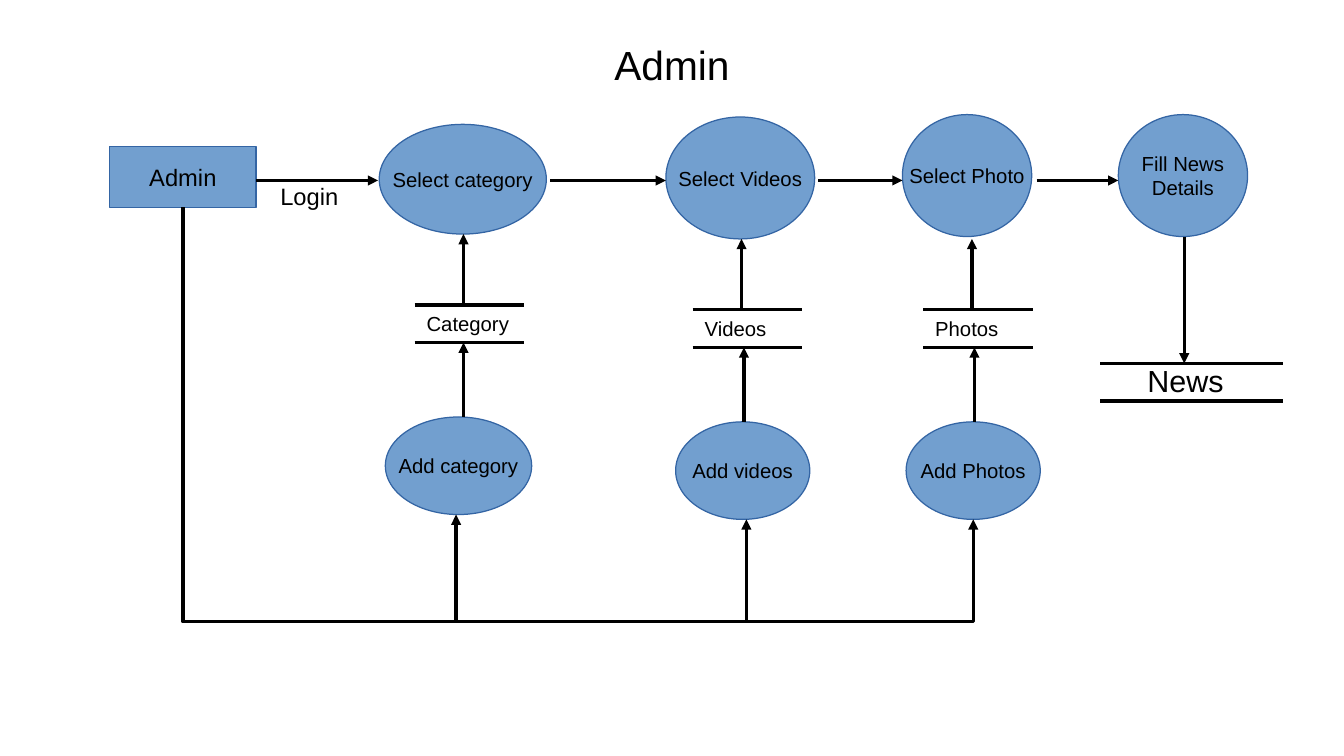
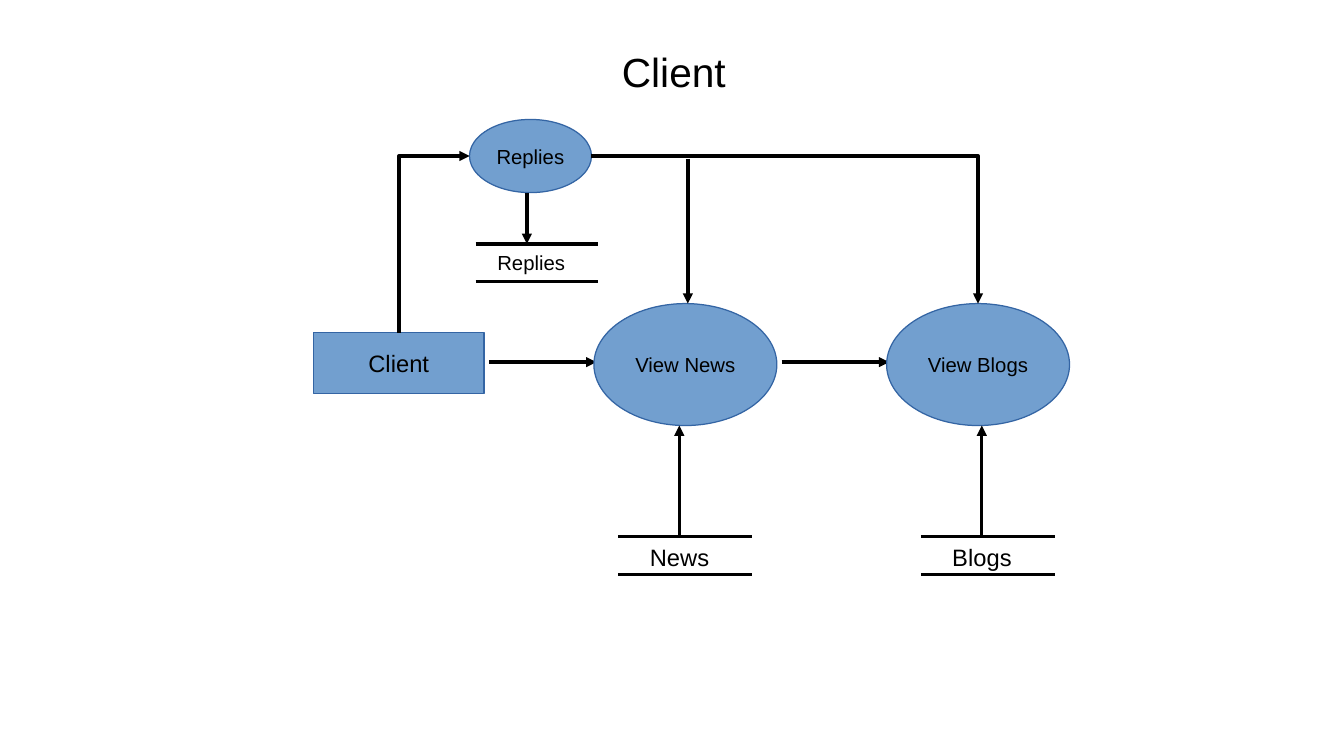
from lxml.etree import SubElement
from pptx import Presentation
from pptx.dml.color import RGBColor
from pptx.enum.shapes import MSO_CONNECTOR as Connector, MSO_SHAPE as Shape
from pptx.enum.text import MSO_ANCHOR as Anchor, PP_ALIGN as Align
from pptx.oxml.ns import qn
from pptx.util import Inches, Pt

COLUMNS, ROWS = 110.2, 62
CELL = Inches(0.1)
FONT = "Arial"
COLORS = {"fill": "729FCF", "outline": "3465A4", "ink": "000000", "paper": "FFFFFF"}
TITLE_LAYOUT = 5
STORE_ROWS = 3.1


def cells(*values):
    return [round(value * CELL) for value in values]


def color(name):
    return RGBColor.from_string(COLORS[name])


def write(shape, text, size=12, align=Align.CENTER, anchor=Anchor.MIDDLE,
          wrap=True, margins=(1, 0.5)):
    frame = shape.text_frame
    frame.word_wrap = wrap
    frame.vertical_anchor = anchor
    frame.margin_left = frame.margin_right = cells(margins[0])[0]
    frame.margin_top = frame.margin_bottom = cells(margins[1])[0]
    frame.text = text
    for paragraph in frame.paragraphs:
        paragraph.alignment = align
        paragraph.font.name = FONT
        paragraph.font.size = Pt(size)
        paragraph.font.color.rgb = color("ink")


def titled_slide(presentation, text, box):
    slide = presentation.slides.add_slide(presentation.slide_layouts[TITLE_LAYOUT])
    slide.background.fill.solid()
    slide.background.fill.fore_color.rgb = color("paper")
    title = slide.shapes.title
    title.left, title.top, title.width, title.height = cells(*box)
    write(title, text, size=24, margins=(0, 0))
    return slide


def node(slide, box, text, kind=Shape.OVAL, size=12):
    shape = slide.shapes.add_shape(kind, *cells(*box))
    shape.shadow.inherit = False
    shape.fill.solid()
    shape.fill.fore_color.rgb = color("fill")
    shape.line.color.rgb = color("outline")
    shape.line.width = Pt(0)
    write(shape, text, size=size, wrap=False)


def line(slide, start, end, arrow=False, kind=Connector.STRAIGHT):
    connector = slide.shapes.add_connector(kind, *cells(*start, *end))
    connector.line.color.rgb = color("ink")
    connector.line.width = Pt(0)
    properties = connector._element.spPr
    if arrow:
        SubElement(properties.find(qn("a:ln")), qn("a:tailEnd"), type="triangle")
    SubElement(properties, qn("a:effectLst"))
    return connector


def arrow(slide, start, end):
    return line(slide, start, end, arrow=True)


def elbow(slide, start, end, preset="bentConnector2", rotation=0, flips="", bend=None):
    connector = line(slide, start, end, arrow=True, kind=Connector.ELBOW)
    width, height = abs(end[0] - start[0]), abs(end[1] - start[1])
    center_x, center_y = (start[0] + end[0]) / 2, (start[1] + end[1]) / 2
    if rotation % 180:
        width, height = height, width
    connector.left, connector.top, connector.width, connector.height = cells(
        center_x - width / 2, center_y - height / 2, width, height)
    properties = connector._element.spPr
    transform = properties.find(qn("a:xfrm"))
    transform.set("rot", str(rotation * 60000))
    for axis in "hv":
        transform.set(f"flip{axis.upper()}", str(int(axis in flips)))
    geometry = properties.find(qn("a:prstGeom"))
    geometry.set("prst", preset)
    if bend is not None:
        guides = geometry.find(qn("a:avLst"))
        if guides is None:
            guides = SubElement(geometry, qn("a:avLst"))
        SubElement(guides, qn("a:gd"), name="adj1", fmla=f"val {round(bend * 100000)}")


def label(slide, box, text, size):
    shape = slide.shapes.add_textbox(*cells(*box))
    write(shape, text, size=size, align=Align.LEFT, anchor=Anchor.TOP)


def store(slide, left, top, width, text, size=12, indent=0, rise=0):
    for edge in (top, top + STORE_ROWS):
        line(slide, (left, edge), (left + width, edge))
    label(slide, (left + indent, top - rise, width + 2, STORE_ROWS), text, size)


def supply_column(slide, left, top, store_name, process, process_box, lower_shift):
    shift, width = process_box
    process_top = top + 9.2
    store(slide, left, top, 9, store_name)
    arrow(slide, (left + 4, top), (left + 4, top - 5.8))
    node(slide, (left + shift, process_top, width, 8), process)
    arrow(slide, (left + lower_shift, process_top), (left + lower_shift, top + STORE_ROWS))


def view_column(slide, left, top, process, store_name, store_shift):
    width, height, gap = 15, 10, 9.1
    store_left, store_top = left + store_shift, top + height + gap
    arrow(slide, (left - 8.6, top + 4.8), (left + 0.2, top + 4.8))
    node(slide, (left, top, width, height), process)
    store(slide, store_left, store_top, 11, store_name, size=14, indent=1.6)
    arrow(slide, (store_left + 5, store_top), (store_left + 5, top + height))


def admin_slide(presentation):
    slide = titled_slide(presentation, "Admin", (5.5, 2.5, 99.2, 5.5))
    flow_row, bus_row = 14.8, 51
    node(slide, (9, 12, 12, 5), "Admin", kind=Shape.RECTANGLE, size=14)
    for text, box in (
        ("Select category", (31.1, 10.2, 13.7, 9)),
        ("Select Videos", (54.6, 9.6, 12.2, 10)),
        ("Select Photo", (74, 9.4, 10.6, 10)),
        ("Fill News\nDetails", (91.7, 9.4, 10.6, 10)),
    ):
        node(slide, box, text)
    for start, end in ((21, 31), (45.1, 54.6), (67.1, 74), (85, 91.7)):
        arrow(slide, (start, flow_row), (end, flow_row))
    label(slide, (22, 14.4, 8, 3.2), "Login", 14)
    store(slide, 90.2, 29.8, 15, "News", size=18, indent=2.9, rise=0.6)
    arrow(slide, (97.1, 19.4), (97.1, 29.8))
    for column in (
        (34, 25, "Category", "Add category", (-2.4, 12), 4),
        (56.8, 25.4, "Videos", "Add videos", (-1.4, 11), 4.2),
        (75.7, 25.4, "Photos", "Add Photos", (-1.4, 11), 4.2),
    ):
        supply_column(slide, *column)
    for column, end_row in ((37.4, 42.2), (61.2, 42.6)):
        arrow(slide, (column, bus_row), (column, end_row))
    start, end = (15, 17), (79.8, 42.6)
    elbow(slide, start, end, preset="bentConnector3", rotation=270, flips="h",
          bend=(bus_row - start[1]) / (end[1] - start[1]))


def client_slide(presentation):
    slide = titled_slide(presentation, "Client", (6.5, 4, 97.5, 3.7))
    reply_row, view_row = 12.8, 24.9
    node(slide, (25.7, 27.3, 14, 5), "Client", kind=Shape.RECTANGLE, size=14)
    view_column(slide, 48.7, view_row, "View News", "News", 2)
    view_column(slide, 72.7, view_row, "View Blogs", "Blogs", 2.8)
    node(slide, (38.5, 9.8, 10, 6), "Replies")
    store(slide, 39, 20, 10, "Replies", indent=0.8)
    arrow(slide, (43.2, 15.8), (43.2, 20))
    arrow(slide, (56.4, 13), (56.4, view_row))
    elbow(slide, (32.7, 27.3), (38.5, reply_row), rotation=90, flips="hv")
    elbow(slide, (48.5, reply_row), (80.2, view_row))


def main():
    presentation = Presentation()
    presentation.slide_width, presentation.slide_height = cells(COLUMNS, ROWS)
    admin_slide(presentation)
    client_slide(presentation)
    presentation.save("out.pptx")


if __name__ == "__main__":
    main()
